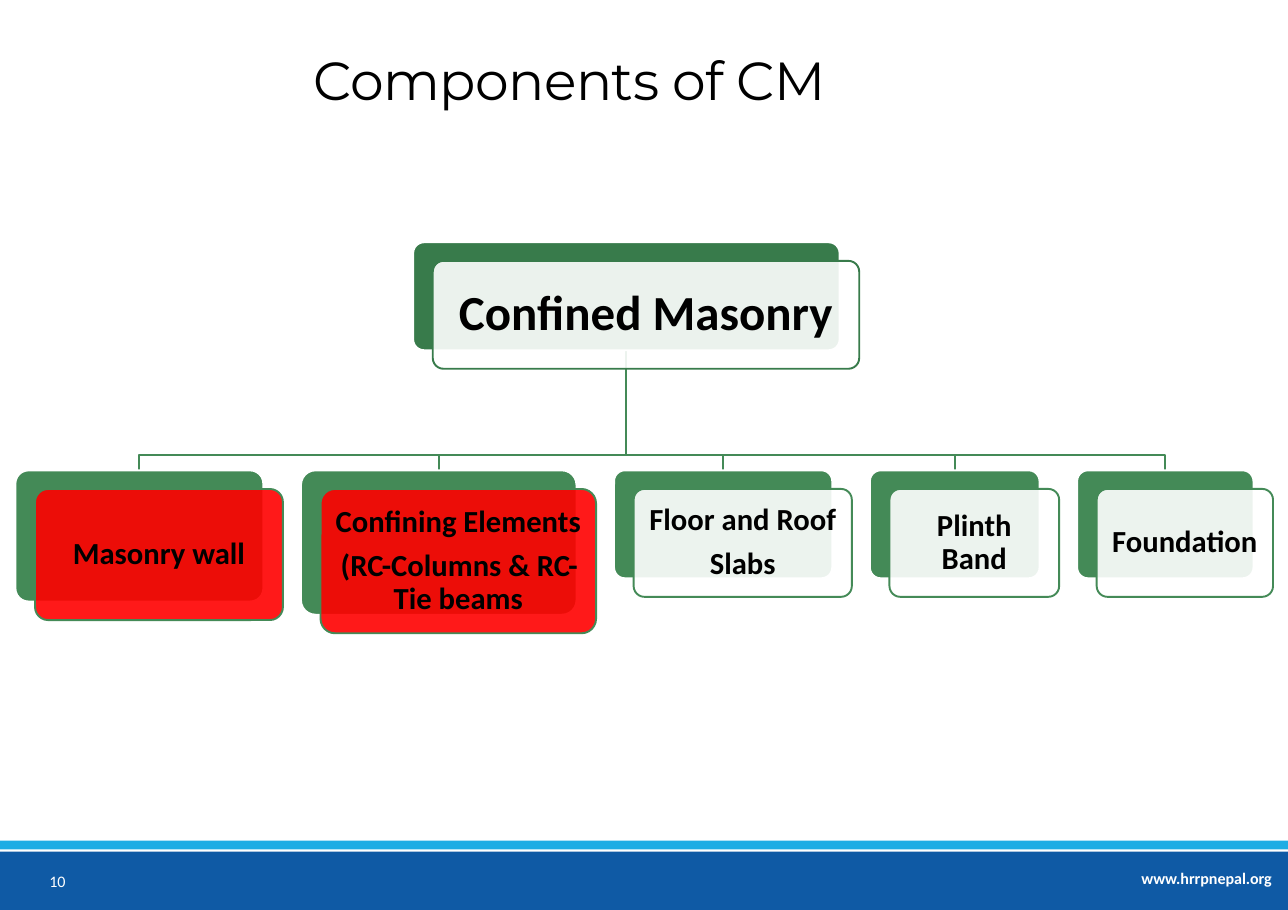
from lxml import etree
from pptx import Presentation
from pptx.dml.color import RGBColor
from pptx.enum.shapes import MSO_SHAPE
from pptx.enum.text import MSO_ANCHOR, PP_ALIGN
from pptx.oxml.ns import qn
from pptx.util import Inches, Pt

RECT, ROUNDED = MSO_SHAPE.RECTANGLE, MSO_SHAPE.ROUNDED_RECTANGLE
TOP, MIDDLE, BOTTOM = MSO_ANCHOR.TOP, MSO_ANCHOR.MIDDLE, MSO_ANCHOR.BOTTOM
LEFT, CENTER = PP_ALIGN.LEFT, PP_ALIGN.CENTER

WIDTH, HEIGHT = Inches(11.69), Inches(8.26)
WHITE, BLACK, RED = "FFFFFF", "000000", "FF0000"
DARK_GREEN, GREEN = "387B4B", "448A57"
BLUE, CYAN = "0F5AA5", "1CADE4"

CARD_SHIFT = (1.52, 2.04)
ROOT = (32.08, 26.63, 33.11, 11.86)
BRANCH_Y, COMPONENT_Y = 50, 51.69
FIRST_X, GAP = 1.2, 2.92
COMPONENTS = [
    (["Masonry wall"], 19.25, 14.41, RED),
    (["Confining Elements", "(RC-Columns & RC-Tie beams"], 21.39, 15.86, RED),
    (["Floor and Roof", "Slabs"], 16.94, 11.86, WHITE),
    (["Plinth Band"], 13.17, 11.86, WHITE),
    (["Foundation"], 13.69, 11.86, WHITE),
]


def color(value):
    return RGBColor.from_string(value)


def across(percent):
    return round(WIDTH * percent / 100)


def down(percent):
    return round(HEIGHT * percent / 100)


def place(area):
    x, y, w, h = area
    return across(x), down(y), across(w), down(h)


def write(frame, lines, size=10.5, font="Calibri", ink=BLACK, bold=False,
          align=LEFT, anchor=TOP, spacing=1.0, after=0, tracking=0, inset=None, wrap=True):
    frame.word_wrap = wrap
    frame.vertical_anchor = anchor
    if inset is not None:
        frame.margin_left = frame.margin_right = Inches(inset)
        frame.margin_top = frame.margin_bottom = Inches(inset)
    for index, line in enumerate(lines):
        paragraph = frame.paragraphs[0] if index == 0 else frame.add_paragraph()
        paragraph.alignment = align
        paragraph.line_spacing = spacing
        paragraph.space_after = Pt(after)
        run = paragraph.add_run()
        run.text = line
        run.font.size = Pt(size)
        run.font.name = font
        run.font.bold = bold
        run.font.color.rgb = color(ink)
        if tracking:
            run.font._element.set("spc", str(round(tracking * 100)))


def add_label(slide, area, text, **style):
    label = slide.shapes.add_textbox(*place(area))
    write(label.text_frame, [text], **style)


def add_block(slide, area, fill, outline=None, kind=RECT, opacity=100):
    block = slide.shapes.add_shape(kind, *place(area))
    block.shadow.inherit = False
    block.fill.solid()
    block.fill.fore_color.rgb = color(fill)
    if kind == ROUNDED:
        block.adjustments[0] = 0.1
    if opacity < 100:
        tint = block._element.spPr.find(qn("a:solidFill")).find(qn("a:srgbClr"))
        etree.SubElement(tint, qn("a:alpha"), val=str(opacity * 1000))
    if outline:
        block.line.color.rgb = color(outline)
        block.line.width = Pt(1.25)
    else:
        block.line.fill.background()
    return block


def add_card(slide, area, lines, accent, face, size, inset):
    x, y, w, h = area
    add_block(slide, area, accent, WHITE, ROUNDED)
    front_area = (x + CARD_SHIFT[0], y + CARD_SHIFT[1], w, h)
    front = add_block(slide, front_area, face, accent, ROUNDED, opacity=90)
    write(front.text_frame, lines, size=size, bold=True, align=CENTER,
          anchor=MIDDLE, spacing=0.9, after=size * 0.35, inset=inset)


def add_branch(slide, start_x, start_y, end_x, end_y):
    points = [(start_x, BRANCH_Y), (end_x, BRANCH_Y), (end_x, end_y)]
    builder = slide.shapes.build_freeform(across(start_x), down(start_y))
    builder.add_line_segments([(across(x), down(y)) for x, y in points], close=False)
    branch = builder.convert_to_shape()
    branch.shadow.inherit = False
    branch.fill.background()
    branch.line.color.rgb = color(GREEN)
    branch.line.width = Pt(1.25)


def add_footer(slide):
    add_block(slide, (0, 93.58, 100, 6.42), BLUE)
    add_block(slide, (0, 92.37, 100, 0.97), CYAN)
    add_label(slide, (87.77, 94.79, 12.23, 3.39), "www.hrrpnepal.org",
              ink=WHITE, bold=True, wrap=False)
    add_label(slide, (2.99, 94.19, 10.78, 5.33), "10", ink=WHITE, anchor=MIDDLE)


def add_hierarchy(slide):
    root_x, root_y, root_w, root_h = ROOT
    cards = []
    x = FIRST_X
    for lines, w, h, face in COMPONENTS:
        cards.append(((x, COMPONENT_Y, w, h), lines, face))
        x += w + GAP
    for (x, y, w, h), lines, face in reversed(cards):
        add_branch(slide, root_x + root_w / 2, root_y + root_h, x + w / 2, y)
    add_card(slide, ROOT, ["Confined Masonry"], DARK_GREEN, WHITE, 32, 0.13)
    for area, lines, face in cards:
        add_card(slide, area, lines, GREEN, face, 20, 0.08)


def main():
    deck = Presentation()
    deck.slide_width, deck.slide_height = WIDTH, HEIGHT
    slide = deck.slides.add_slide(deck.slide_layouts[6])
    add_footer(slide)
    add_label(slide, (2.99, 0, 82.46, 12.83), "Components of CM", size=35,
              font="Montserrat", align=CENTER, anchor=BOTTOM, spacing=0.85, tracking=-0.4)
    add_hierarchy(slide)
    deck.save("out.pptx")


if __name__ == "__main__":
    main()
